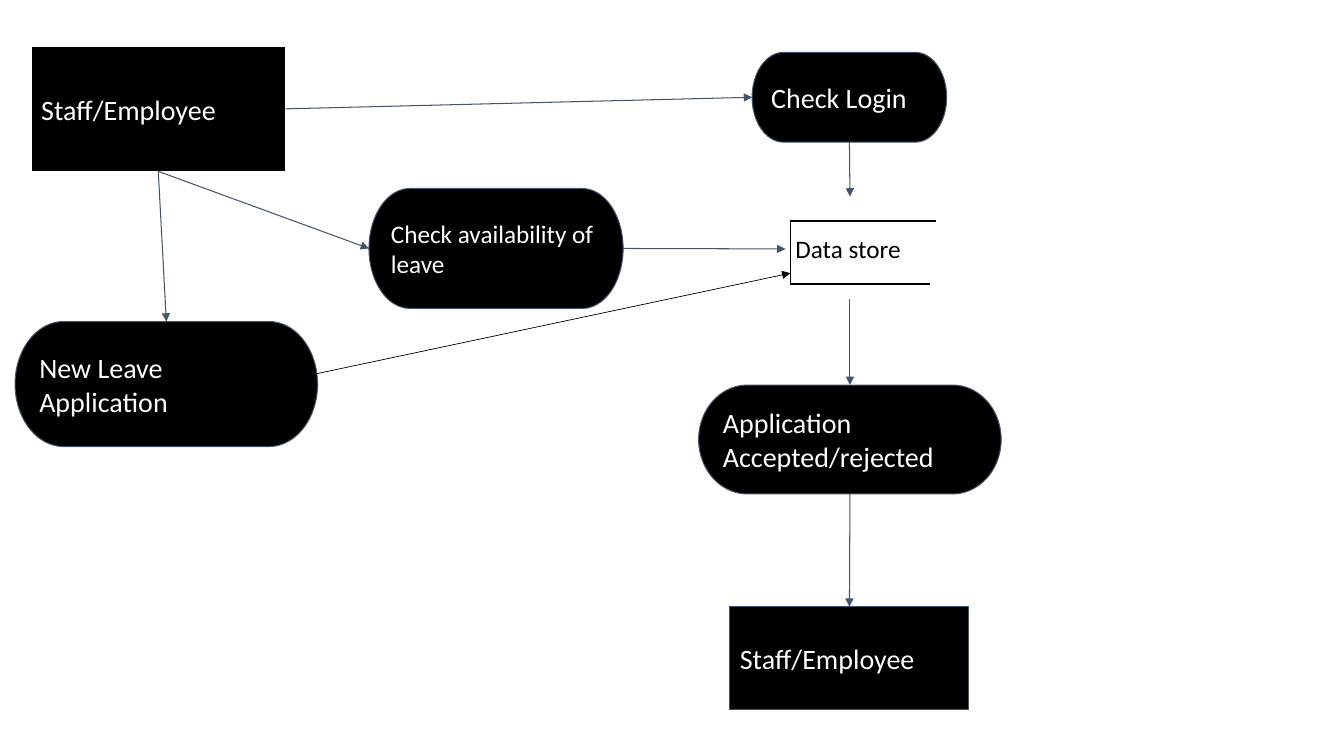
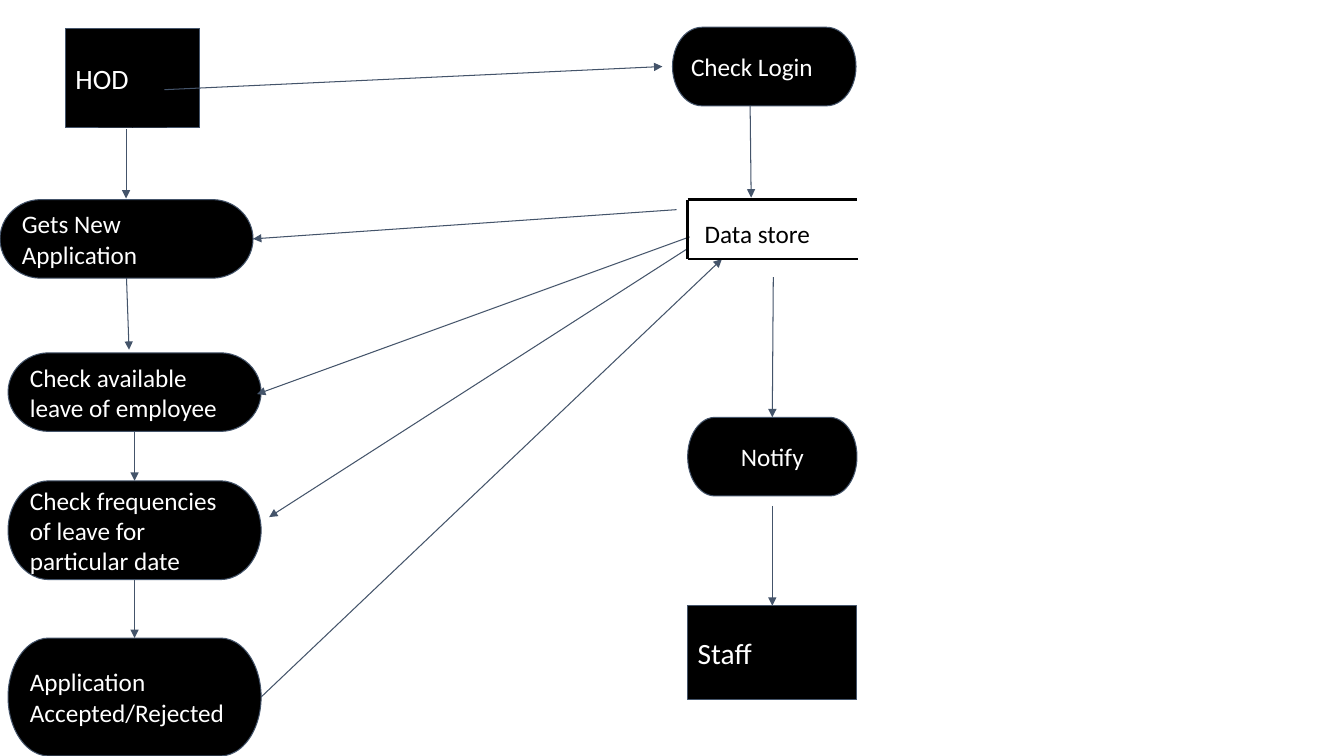
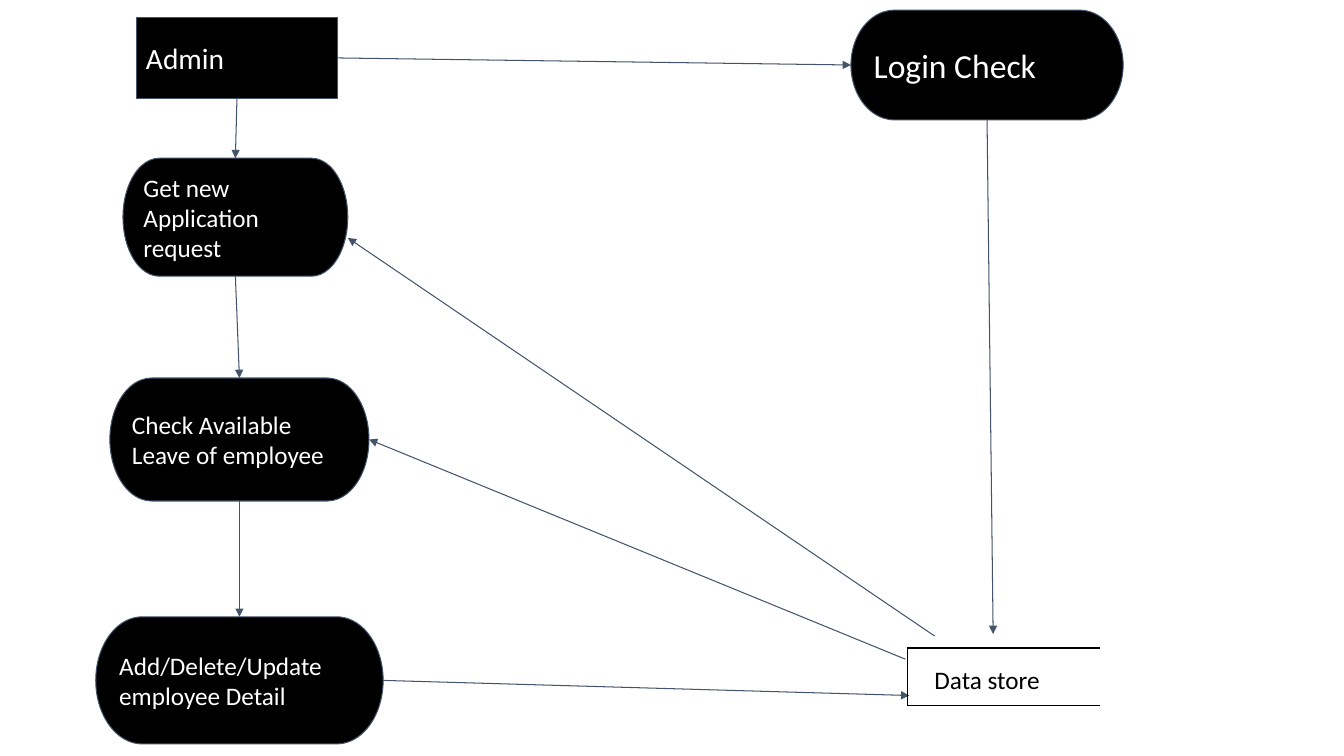
from dataclasses import dataclass
from enum import IntEnum

from lxml.etree import SubElement
from pptx import Presentation
from pptx.dml.color import RGBColor
from pptx.enum.shapes import MSO_CONNECTOR, MSO_SHAPE
from pptx.enum.text import MSO_ANCHOR, MSO_AUTO_SIZE, PP_ALIGN
from pptx.oxml.ns import qn
from pptx.util import Inches, Pt


@dataclass(frozen=True)
class Theme:
    """Colours, type sizes and line widths shared by all slides."""
    font: str = "Calibri"
    ink: RGBColor = RGBColor(0x00, 0x00, 0x00)
    paper: RGBColor = RGBColor(0xFF, 0xFF, 0xFF)
    slate: RGBColor = RGBColor(0x44, 0x54, 0x6A)
    small: int = 18
    medium: int = 20
    large: int = 21
    huge: int = 24
    hairline: float = 0.5
    thin: float = 0.75
    rule: float = 1.25
    heavy: float = 1.75


class Side(IntEnum):
    """Connection sites of a node."""
    TOP = 0
    LEFT = 1
    BOTTOM = 2
    RIGHT = 3


THEME = Theme()


def write(frame, text, size, color, align=PP_ALIGN.LEFT):
    """Put one formatted paragraph in a text frame."""
    frame.word_wrap = True
    paragraph = frame.paragraphs[0]
    paragraph.text = text
    paragraph.alignment = align
    paragraph.font.name = THEME.font
    paragraph.font.size = Pt(size)
    paragraph.font.color.rgb = color


def node(slide, preset, box, text, size, outline, align):
    """Draw a black labelled node; box is left, top, width, height."""
    shape = slide.shapes.add_shape(preset, *map(Inches, box))
    shape.shadow.inherit = False
    shape.fill.solid()
    shape.fill.fore_color.rgb = THEME.ink
    shape.line.color.rgb = outline
    shape.line.width = Pt(THEME.thin)
    frame = shape.text_frame
    frame.margin_left = frame.margin_right = Inches(0.1)
    frame.margin_top = frame.margin_bottom = Inches(0.1)
    frame.vertical_anchor = MSO_ANCHOR.MIDDLE
    write(frame, text, size, THEME.paper, align)
    return shape


def entity(slide, box, text, size=THEME.medium, outline=THEME.slate):
    """Draw an external entity as a rectangle."""
    return node(slide, MSO_SHAPE.RECTANGLE, box, text, size, outline, PP_ALIGN.LEFT)


def process(slide, box, text, size=THEME.small, align=PP_ALIGN.LEFT):
    """Draw a process as a rounded terminator."""
    return node(slide, MSO_SHAPE.FLOWCHART_TERMINATOR, box, text, size, THEME.slate, align)


def segment(slide, start, end, color, width):
    """Draw a straight line without shadow between two points."""
    line = slide.shapes.add_connector(MSO_CONNECTOR.STRAIGHT, *map(Inches, (*start, *end)))
    line.line.color.rgb = color
    line.line.width = Pt(width)
    SubElement(line.element.spPr, qn("a:effectLst"))
    return line


def flow(slide, start, end, color=THEME.slate, width=THEME.thin):
    """Draw an arrow; each end is an (x, y) point or a (node, Side) pair."""
    start_glued, end_glued = (isinstance(stop[1], Side) for stop in (start, end))
    arrow = segment(slide, (0, 0) if start_glued else start,
                    (0, 0) if end_glued else end, color, width)
    if start_glued:
        arrow.begin_connect(start[0], int(start[1]))
    if end_glued:
        arrow.end_connect(end[0], int(end[1]))
    SubElement(arrow.element.spPr.find(qn("a:ln")), qn("a:tailEnd"), type="triangle")


def chain(slide, *steps):
    """Join each node to the next one below it."""
    for upper, lower in zip(steps, steps[1:]):
        flow(slide, (upper, Side.BOTTOM), (lower, Side.TOP))


def data_store(slide, left, top, bottom, top_right, bottom_right, label_box,
               edge_width=THEME.rule):
    """Draw a data store, open on its right; edge_width is for top and left."""
    segment(slide, (left, top), (top_right, top), THEME.ink, edge_width)
    segment(slide, (left, top), (left, bottom), THEME.ink, edge_width)
    segment(slide, (left, bottom), (bottom_right, bottom), THEME.ink, THEME.rule)
    frame = slide.shapes.add_textbox(*map(Inches, label_box)).text_frame
    write(frame, "Data store", THEME.small, THEME.ink)
    frame.auto_size = MSO_AUTO_SIZE.SHAPE_TO_FIT_TEXT


def staff_flow(slide):
    """Build the staff diagram."""
    applicant = entity(slide, (0.31, 0.46, 2.52, 1.24), "Staff/Employee", outline=THEME.paper)
    availability = process(slide, (3.66, 1.87, 2.52, 1.19), "Check availability of leave")
    login = process(slide, (7.46, 0.52, 1.93, 0.89), "Check Login", THEME.medium)
    application = process(slide, (0.15, 3.19, 3, 1.24), "New Leave Application", THEME.medium)
    decision = process(slide, (6.93, 3.82, 3, 1.08), "Application Accepted/rejected",
                       THEME.medium)
    recipient = entity(slide, (7.24, 6.02, 2.37, 1.02), "Staff/Employee")

    flow(slide, (applicant, Side.RIGHT), (login, Side.LEFT))
    flow(slide, (applicant, Side.BOTTOM), (availability, Side.LEFT))
    chain(slide, applicant, application)
    flow(slide, (login, Side.BOTTOM), (8.43, 1.95))
    flow(slide, (availability, Side.RIGHT), (7.79, 2.47))
    flow(slide, (2.94, 3.75), (7.84, 2.71), THEME.ink, THEME.hairline)
    flow(slide, (8.43, 2.97), (decision, Side.TOP))
    chain(slide, decision, recipient)
    data_store(slide, 7.84, 2.19, 2.82, 9.28, 9.22, (7.79, 2.27, 1.43, 0.4))


def hod_flow(slide):
    """Build the head of department diagram."""
    entity(slide, (0.65, 0.28, 1.33, 0.99), "HOD")
    application = process(slide, (0, 1.98, 2.51, 0.78), "Gets New Application")
    availability = process(slide, (0.08, 3.5, 2.51, 0.78), "Check available leave of employee")
    frequency = process(slide, (0.08, 4.77, 2.51, 0.98),
                        "Check frequencies of leave for particular date")
    decision = process(slide, (0.08, 6.33, 2.51, 1.17), "Application Accepted/Rejected")
    process(slide, (6.67, 0.27, 1.82, 0.78), "Check Login")
    notice = process(slide, (6.82, 4.14, 1.68, 0.78), "Notify", align=PP_ALIGN.CENTER)
    staff = entity(slide, (6.82, 6.01, 1.68, 0.93), "Staff", THEME.large)

    chain(slide, availability, frequency, decision)
    flow(slide, (1.63, 0.89), (6.57, 0.66))
    flow(slide, (1.25, 1.28), (1.25, 1.97))
    flow(slide, (application, Side.BOTTOM), (1.28, 3.47))
    flow(slide, (7.44, 1.05), (7.45, 1.96))
    flow(slide, (6.71, 2.08), (application, Side.RIGHT))
    flow(slide, (6.84, 2.35), (2.55, 3.91))
    flow(slide, (6.83, 2.46), (2.67, 5.13))
    flow(slide, (decision, Side.RIGHT), (7.16, 2.57))
    flow(slide, (7.67, 2.75), (notice, Side.TOP))
    flow(slide, (7.66, 5.02), (staff, Side.TOP))
    data_store(slide, 6.82, 1.98, 2.57, 8.5, 8.51, (6.89, 2.12, 2.02, 0.4), THEME.heavy)


def admin_flow(slide):
    """Build the administrator diagram."""
    admin = entity(slide, (1.35, 0.17, 2, 0.81), "Admin", THEME.large)
    request = process(slide, (1.22, 1.57, 2.23, 1.17), "Get new Application request")
    availability = process(slide, (1.09, 3.75, 2.57, 1.22), "Check Available Leave of employee")
    details = process(slide, (0.95, 6.12, 2.85, 1.26), "Add/Delete/Update employee Detail")
    login = process(slide, (8.44, 0.1, 2.7, 1.09), "Login Check", THEME.huge)

    chain(slide, admin, request, availability, details)
    flow(slide, (admin, Side.RIGHT), (login, Side.LEFT))
    flow(slide, (9.27, 6.31), (3.45, 2.36))
    flow(slide, (8.98, 6.54), (availability, Side.RIGHT))
    flow(slide, (details, Side.RIGHT), (9.02, 6.9))
    flow(slide, (login, Side.BOTTOM), (9.85, 6.29))
    data_store(slide, 9, 6.43, 7, 10.91, 10.91, (9.17, 6.54, 1.76, 0.4))


def main():
    """Build and save the presentation."""
    deck = Presentation()
    deck.slide_width, deck.slide_height = Inches(13.33), Inches(7.5)
    blank = deck.slide_layouts.get_by_name("Blank")
    for build in (staff_flow, hod_flow, admin_flow):
        build(deck.slides.add_slide(blank))
    deck.save("out.pptx")


main()
